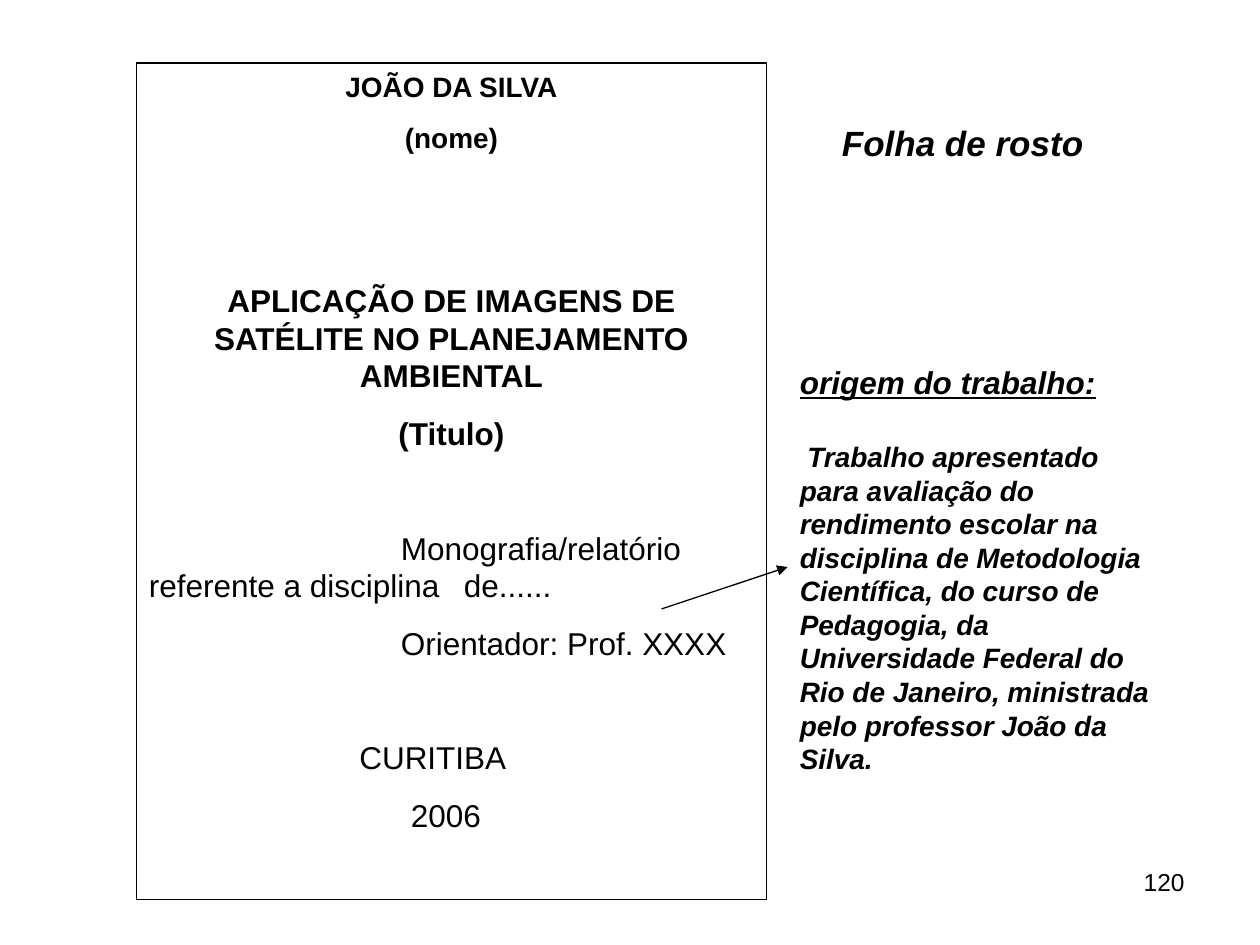
from lxml.etree import SubElement
from pptx import Presentation
from pptx.dml.color import RGBColor
from pptx.enum.shapes import MSO_CONNECTOR, MSO_SHAPE
from pptx.enum.text import PP_ALIGN
from pptx.oxml.ns import qn
from pptx.util import Inches, Pt

COLORS = {"ink": "000000"}
FONT = "Arial"
LEAD = 1.2  # line pitch as a multiple of the text size
COLS, ROWS = 120, 90
WIDE, HIGH = Inches(10), Inches(7.5)

# Boxes on the grid: column, row, columns wide, rows high
PAGE = (13, 6, 60, 79.7)
HEAD = (79, 11, 39, 5.3)
NOTE = (75, 34, 37, 44)
FOOT = (86, 82, 28, 6.25)
ARROW = ((63, 58), (75, 54))

MID, LEFT, RIGHT = PP_ALIGN.CENTER, PP_ALIGN.LEFT, PP_ALIGN.RIGHT
BOLD = {"bold": True}
SLANT = {"bold": True, "italic": True}

# Paragraphs: text, size, align, space before, first-line indent, tab, style
COVER = [
    ("JOÃO DA SILVA", 16, MID, 0, 0, 0, BOLD),
    ("(nome)", 16, MID, 10, 0, 0, BOLD),
    ("APLICAÇÃO DE IMAGENS DE SATÉLITE NO PLANEJAMENTO AMBIENTAL",
     18, MID, 72.5, 0, 0, BOLD),
    ("(Titulo)", 18, MID, 11.2, 0, 0, BOLD),
    ("Monografia/relatório\vreferente a disciplina\tde......",
     18, LEFT, 44, 2, 4, {}),
    ("Orientador: Prof. XXXX", 18, LEFT, 11.2, 2, 0, {}),
    ("CURITIBA", 18, LEFT, 44, 1.67, 0, {}),
    ("2006", 18, LEFT, 11.2, 2.08, 0, {}),
]
TITLE = [("Folha de rosto", 20, LEFT, 0, 0, 0, SLANT)]
ORIGIN = [
    ("origem do trabalho:", 18, LEFT, 0, 0, 0, {**SLANT, "underline": True}),
    ("Trabalho apresentado para avaliação do rendimento escolar na disciplina "
     "de Metodologia Científica, do curso de Pedagogia, da Universidade Federal "
     "do Rio de Janeiro, ministrada pelo professor João da Silva.",
     16, LEFT, 22, 0.06, 0, SLANT),
]
NUMBER = [("120", 14, RIGHT, 0, 0, 0, {})]


def spot(col, row):
    return round(WIDE * col / COLS), round(HIGH * row / ROWS)


def color(name):
    return RGBColor.from_string(COLORS[name])


def write(shape, paras):
    frame = shape.text_frame
    frame.word_wrap = True
    for i, (text, size, align, gap, indent, tab, style) in enumerate(paras):
        para = frame.add_paragraph() if i else frame.paragraphs[0]
        para.text = text
        para.alignment = align
        para.line_spacing = Pt(LEAD * size)
        para.space_before = Pt(gap)
        props = para._p.get_or_add_pPr()
        if indent:
            props.set("marL", "0")
            props.set("indent", str(Inches(indent)))
        if tab:
            tabs = SubElement(props, qn("a:tabLst"))
            SubElement(tabs, qn("a:tab"), pos=str(Inches(tab)), algn="l")
        font = para.font
        font.name, font.size = FONT, Pt(size)
        font.color.rgb = color("ink")
        for key, value in style.items():
            setattr(font, key, value)


def place(box):
    return *spot(*box[:2]), *spot(*box[2:])


deck = Presentation()
deck.slide_width, deck.slide_height = WIDE, HIGH
slide = deck.slides.add_slide(deck.slide_layouts[6])
shapes = slide.shapes

page = shapes.add_shape(MSO_SHAPE.RECTANGLE, *place(PAGE))
page.shadow.inherit = False
page.fill.background()
page.line.color.rgb = color("ink")
page.line.width = Pt(0.75)
page.text_frame.vertical_anchor = 1
write(page, COVER)

for box, paras in ((HEAD, TITLE), (NOTE, ORIGIN), (FOOT, NUMBER)):
    write(shapes.add_textbox(*place(box)), paras)

start, end = ARROW
arrow = shapes.add_connector(MSO_CONNECTOR.STRAIGHT, *spot(*start), *spot(*end))
arrow.line.color.rgb = color("ink")
arrow.line.width = Pt(0.75)
SubElement(arrow.line._get_or_add_ln(), qn("a:tailEnd"), type="triangle")
SubElement(arrow._element.spPr, qn("a:effectLst"))

deck.save("out.pptx")
